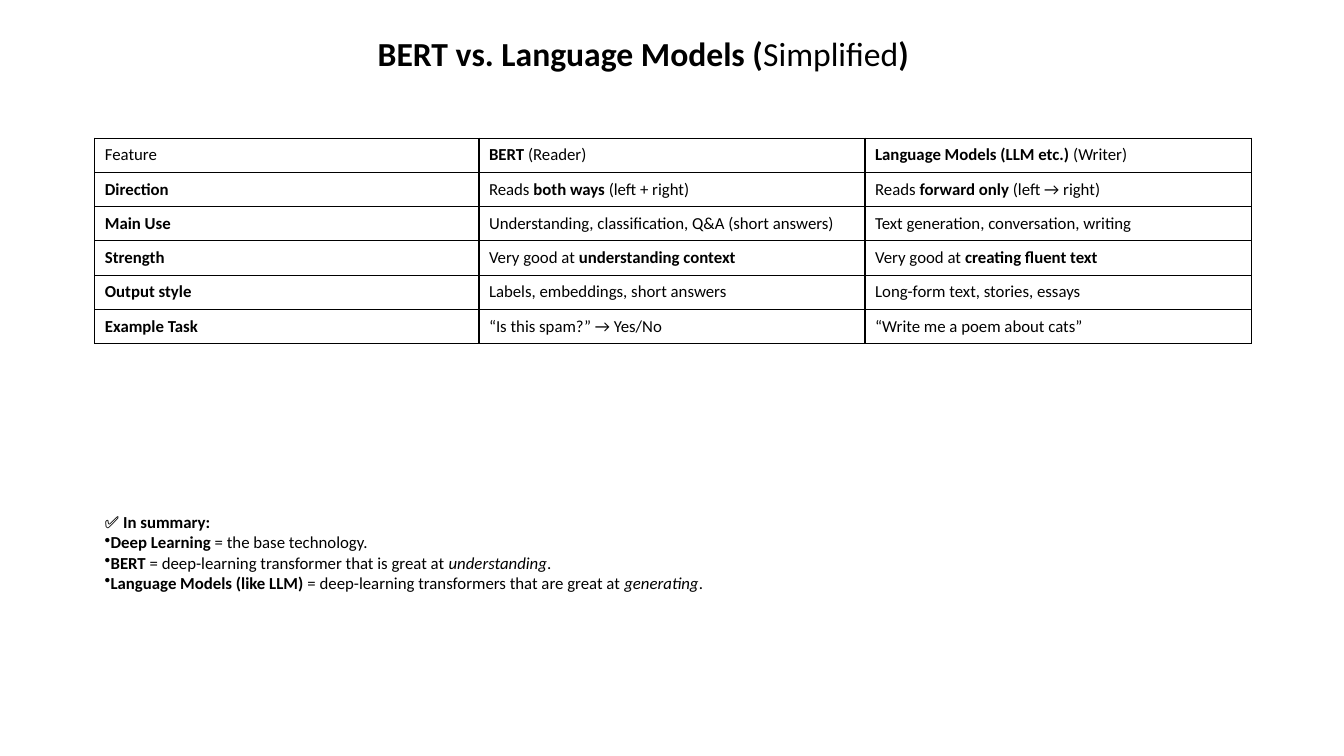
from typing import NamedTuple

from lxml.etree import SubElement
from pptx import Presentation
from pptx.dml.color import RGBColor
from pptx.enum.text import MSO_ANCHOR as Anchor, MSO_AUTO_SIZE as AutoSize, PP_ALIGN as Align
from pptx.oxml import parse_xml
from pptx.oxml.ns import nsdecls, qn
from pptx.util import Inches, Pt

COLOURS = {"ink": "000000", "border": "000000"}
FONT = "Calibri"
COLUMN_WIDTHS = (3.81, 3.83, 3.83)
ROW_HEIGHT = 0.34


class Comparison(NamedTuple):
    feature: str
    bert: str
    language_models: str


class TextBlock(NamedTuple):
    left: float
    top: float
    width: float
    height: float
    lines: tuple[str, ...]


TITLE = TextBlock(1.42, 0.08, 9.92, 0.7, ("*BERT vs. Language Models (*Simplified*)*",))

COMPARISONS = (
    Comparison("Feature", "*BERT* (Reader)", "*Language Models (LLM etc.)* (Writer)"),
    Comparison("*Direction*", "Reads *both ways* (left + right)",
               "Reads *forward only* (left → right)"),
    Comparison("*Main Use*", "Understanding, classification, Q&A (short answers)",
               "Text generation, conversation, writing"),
    Comparison("*Strength*", "Very good at *understanding context*",
               "Very good at *creating fluent text*"),
    Comparison("*Output style*", "Labels, embeddings, short answers",
               "Long-form text, stories, essays"),
    Comparison("*Example Task*", "“Is this spam?” → Yes/No", "“Write me a poem about cats”"),
)

SUMMARY = TextBlock(0.94, 5.03, 11.54, 0.91, (
    "✅ *In summary:*",
    "*Deep Learning* = the base technology.",
    "*BERT* = deep-learning transformer that is great at _understanding_.",
    "*Language Models (like LLM)* = deep-learning transformers that are great at _generating_.",
))


def write_text(paragraph, text: str, *, size: float = 12, align: Align = Align.LEFT,
               line_spacing: float = 1.0, bullet: str = "") -> None:
    """Write text in which *stars* mark bold and _underscores_ mark italic."""
    if bullet:
        SubElement(paragraph._p.get_or_add_pPr(), qn("a:buChar")).set("char", bullet)
    paragraph.alignment = align
    paragraph.line_spacing = line_spacing
    for bold_turn, stretch in enumerate(text.split("*")):
        for italic_turn, piece in enumerate(stretch.split("_")):
            if not piece:
                continue
            run = paragraph.add_run()
            run.text = piece
            run.font.name = FONT
            run.font.size = Pt(size)
            run.font.bold = bold_turn % 2 == 1
            run.font.italic = italic_turn % 2 == 1
            run.font.color.rgb = RGBColor.from_string(COLOURS["ink"])


def add_text_block(slide, block: TextBlock, *, anchor: Anchor = Anchor.TOP,
                   auto_size: AutoSize = AutoSize.NONE, bullet: str = "", **text_format) -> None:
    """Add a wrapped text box, with bullets on every line after the first."""
    frame = slide.shapes.add_textbox(*map(Inches, block[:4])).text_frame
    frame.word_wrap = True
    frame.auto_size = auto_size
    frame.vertical_anchor = anchor
    for index, line in enumerate(block.lines):
        paragraph = frame.add_paragraph() if index else frame.paragraphs[0]
        write_text(paragraph, line, bullet=bullet if index else "", **text_format)


def outline_cell(cell) -> None:
    """Clear the fill of a cell and draw its four borders."""
    cell.fill.background()
    properties = cell._tc.get_or_add_tcPr()
    for position, side in enumerate(("lnL", "lnR", "lnT", "lnB")):
        properties.insert(position, parse_xml(
            f'<a:{side} {nsdecls("a")} w="{Pt(1)}"><a:solidFill>'
            f'<a:srgbClr val="{COLOURS["border"]}"/></a:solidFill></a:{side}>'))


def add_comparison_table(slide, left: float, top: float) -> None:
    """Add the feature table, one row for each comparison."""
    table = slide.shapes.add_table(
        len(COMPARISONS), len(COLUMN_WIDTHS), Inches(left), Inches(top),
        Inches(sum(COLUMN_WIDTHS)), Inches(ROW_HEIGHT * len(COMPARISONS))).table
    table.first_row = False
    table.horz_banding = False
    for column, width in zip(table.columns, COLUMN_WIDTHS):
        column.width = Inches(width)
    for row, comparison in zip(table.rows, COMPARISONS):
        row.height = Inches(ROW_HEIGHT)
        for cell, text in zip(row.cells, comparison):
            cell.vertical_anchor = Anchor.MIDDLE
            outline_cell(cell)
            write_text(cell.text_frame.paragraphs[0], text)


def main() -> None:
    """Build the slide and save it."""
    deck = Presentation()
    deck.slide_width, deck.slide_height = Inches(13.33), Inches(7.5)
    slide = deck.slides.add_slide(deck.slide_layouts[6])
    add_text_block(slide, TITLE, anchor=Anchor.BOTTOM, size=24, align=Align.CENTER,
                   line_spacing=0.9)
    add_comparison_table(slide, 0.94, 1.37)
    add_text_block(slide, SUMMARY, auto_size=AutoSize.SHAPE_TO_FIT_TEXT, bullet="•")
    deck.save("out.pptx")


if __name__ == "__main__":
    main()
